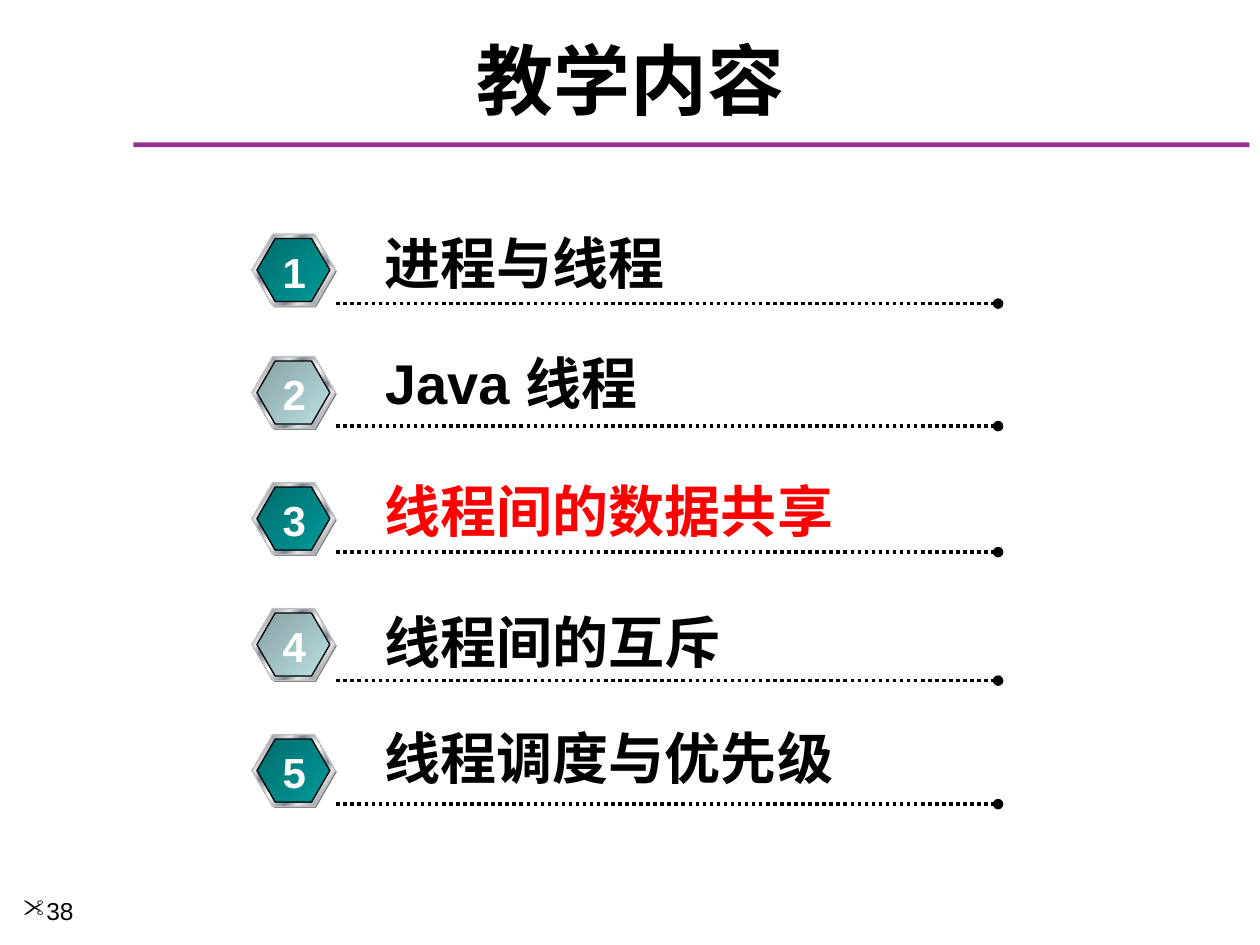
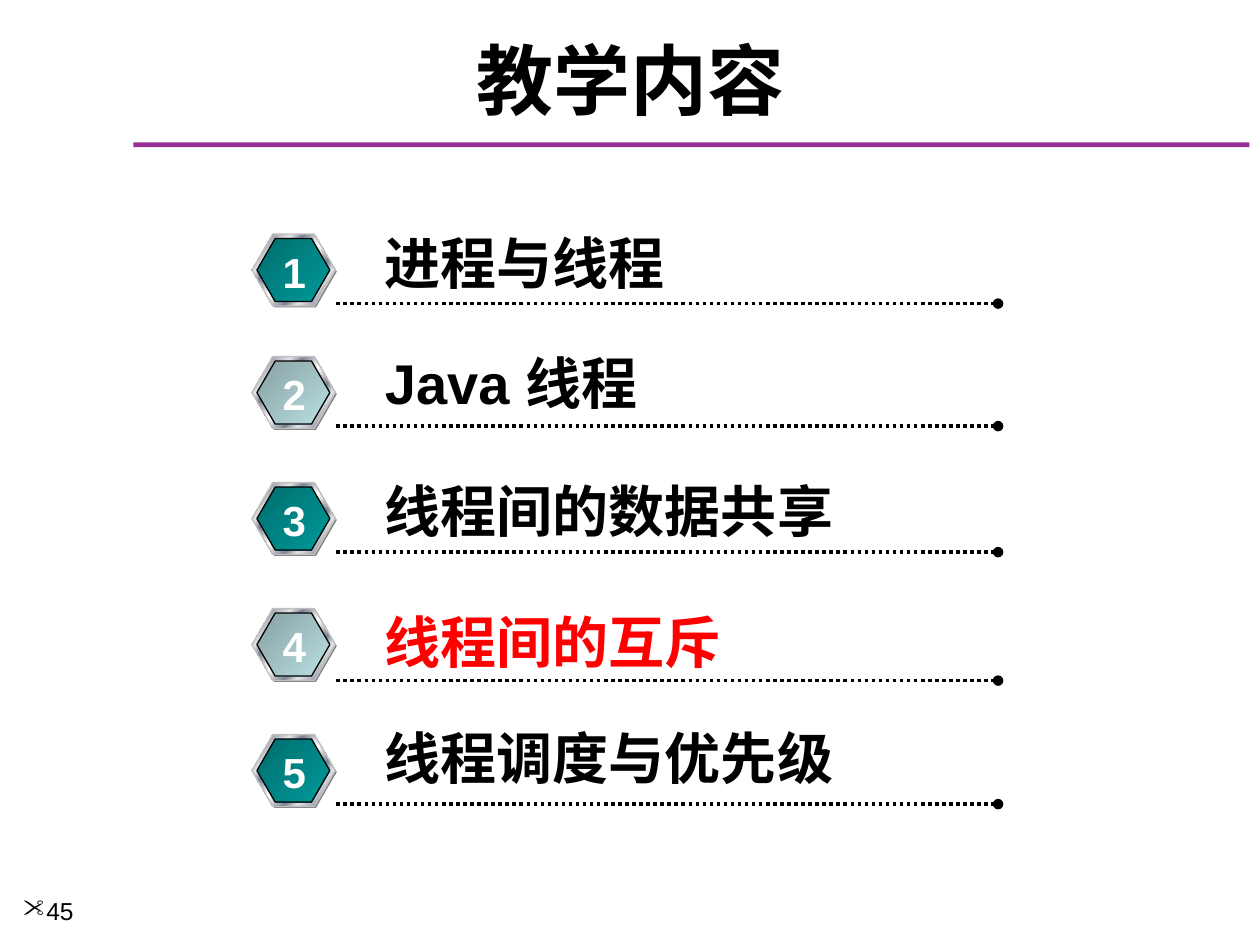
"""Builds two agenda slides, each with one topic of the lesson highlighted."""
from lxml import etree
from pptx import Presentation
from pptx import util as u
from pptx.dml.color import RGBColor
from pptx.enum import dml, shapes, text
from pptx.oxml import ns

COLORS = {
    "ink": "000000", "white": "FFFFFF", "active": "FF0000", "bar": "973095",
    "shade": "808080", "rim": "C0C0C0", "silver": "E6E6E6", "steel": "7D8496",
    "teal_dark": "006D6D", "teal": "009999", "mist_dark": "86A0A2", "mist": "BBE0E3",
}
METAL = [(0, "silver"), (8, "steel"), (26, "silver"), (34, "steel"), (46, "silver"),
         (50, "white"), (54, "silver"), (66, "steel"), (74, "silver"), (92, "steel"),
         (100, "silver")]
BADGE_FILLS = [[(0, "teal_dark"), (100, "teal")], [(0, "mist_dark"), (100, "mist")]]
TOPICS = [
    ("进程与线程", 4.72, 4.47, 6.22, 6.12),
    ("Java 线程", 7.19, 6.89, 6.1, 8.59),
    ("线程间的数据共享", 9.73, 9.47, 9.68, 11.13),
    ("线程间的互斥", 12.27, 12.1, 7.39, 13.72),
    ("线程调度与优先级", 14.81, 14.45, 9.68, 16.21),
]


class Deck:
    """Holds the style and the current slide."""

    latin, cjk = "Arial", "Noto Sans CJK SC"

    def __init__(self):
        self.prs = Presentation()
        self.prs.slide_width, self.prs.slide_height = u.Cm(25.4), u.Cm(19.05)
        self.slide = None

    def rgb(self, name):
        return RGBColor.from_string(COLORS[name])

    def child(self, parent, tag, **attrs):
        return etree.SubElement(parent, ns.qn(tag), attrs)

    def run(self, p, words, size, color="ink", bold=True, latin=None):
        r = p.add_run()
        r.text = words
        r.font.size, r.font.bold = u.Pt(size), bold
        r.font.color.rgb = self.rgb(color)
        r.font.name = latin or self.latin
        self.child(r.font._element, "a:ea", typeface=self.cjk)

    def new_slide(self, title, number):
        self.slide = self.prs.slides.add_slide(self.prs.slide_layouts[5])
        self.bar(2.69, 2.87, 22.5, 0.1)
        self.title(title)
        self.page_number(number)

    def title(self, words):
        sp = self.slide.shapes.title
        sp.left, sp.top, sp.width, sp.height = map(u.Cm, (0.43, 0.64, 24.56, 1.9))
        tf = sp.text_frame
        tf.auto_size = text.MSO_AUTO_SIZE.NONE
        tf.vertical_anchor = text.MSO_ANCHOR.MIDDLE
        p = tf.paragraphs[0]
        p.alignment = text.PP_ALIGN.CENTER
        self.run(p, words, 44, latin=self.cjk)

    def bar(self, *box):
        sp = self.slide.shapes.add_shape(shapes.MSO_SHAPE.RECTANGLE, *map(u.Cm, box))
        sp.shadow.inherit = False
        sp.fill.solid()
        sp.fill.fore_color.rgb = self.rgb("bar")
        sp.line.fill.background()

    def textbox(self, parent, box, anchor=text.MSO_ANCHOR.MIDDLE):
        tf = parent.shapes.add_textbox(*map(u.Cm, box)).text_frame
        tf.word_wrap = False
        tf.vertical_anchor = anchor
        return tf.paragraphs[0]

    def page_number(self, number):
        p = self.textbox(self.slide, (0.21, 17.94, 2.95, 1.11), text.MSO_ANCHOR.TOP)
        pPr = p._p.get_or_add_pPr()
        pPr.set("marL", "0")
        pPr.set("indent", "0")
        self.child(pPr, "a:buFont", typeface="Wingdings")
        self.child(pPr, "a:buChar", char='"')
        self.run(p, str(number), 14, bold=False)

    def dotted_line(self, left, right, y):
        ends = map(u.Cm, (left, y, right, y))
        line = self.slide.shapes.add_connector(shapes.MSO_CONNECTOR.STRAIGHT, *ends)
        line.line.width = u.Pt(2)
        line.line.color.rgb = self.rgb("ink")
        line.line.dash_style = dml.MSO_LINE.ROUND_DOT
        self.child(line.line._get_or_add_ln(), "a:tailEnd", type="oval")
        self.child(line._element.spPr, "a:effectLst")

    def hexagon(self, group, box, stops=None, outline=None):
        sp = group.shapes.add_shape(shapes.MSO_SHAPE.HEXAGON, *map(u.Cm, box))
        sp.adjustments[0] = 0.29
        sp.shadow.inherit = False
        if outline:
            sp.line.color.rgb = self.rgb(outline)
            sp.line.width = u.Pt(0.75)
        else:
            sp.line.fill.background()
        if stops:
            self.gradient(sp, stops)
        else:
            sp.fill.solid()
            sp.fill.fore_color.rgb = self.rgb("shade")

    def gradient(self, sp, stops):
        sp.fill.gradient()
        sp.fill.gradient_angle = 315
        gs_list = sp._element.spPr.find(ns.qn("a:gradFill")).find(ns.qn("a:gsLst"))
        for gs in list(gs_list):
            gs_list.remove(gs)
        for percent, color in stops:
            gs = self.child(gs_list, "a:gs", pos=str(percent * 1000))
            self.child(gs, "a:srgbClr", val=COLORS[color])

    def badge(self, number, top):
        group = self.slide.shapes.add_group_shape()
        self.hexagon(group, (5.11, top + 0.03, 1.68, 1.45))
        self.hexagon(group, (5.08, top, 1.68, 1.45), METAL, "rim")
        self.hexagon(group, (5.18, top + 0.09, 1.47, 1.27),
                     BADGE_FILLS[(number - 1) % 2], "ink")
        p = self.textbox(group, (5.44, top + 0.12, 0.99, 1.27))
        p.alignment = text.PP_ALIGN.CENTER
        self.run(p, str(number), 24, "white")

    def topic(self, words, top, width, color):
        p = self.textbox(self.slide, (7.51, top, width, 1.63))
        self.run(p, words, 32, color)

    def agenda(self, active):
        for number, (words, top, text_top, width, line_y) in enumerate(TOPICS, 1):
            self.dotted_line(6.78, 20.12, line_y)
            self.topic(words, text_top, width, "active" if number == active else "ink")
            self.badge(number, top)


def main():
    deck = Deck()
    for page, active in ((38, 3), (45, 4)):
        deck.new_slide("教学内容", page)
        deck.agenda(active)
    deck.prs.save("out.pptx")


if __name__ == "__main__":
    main()
